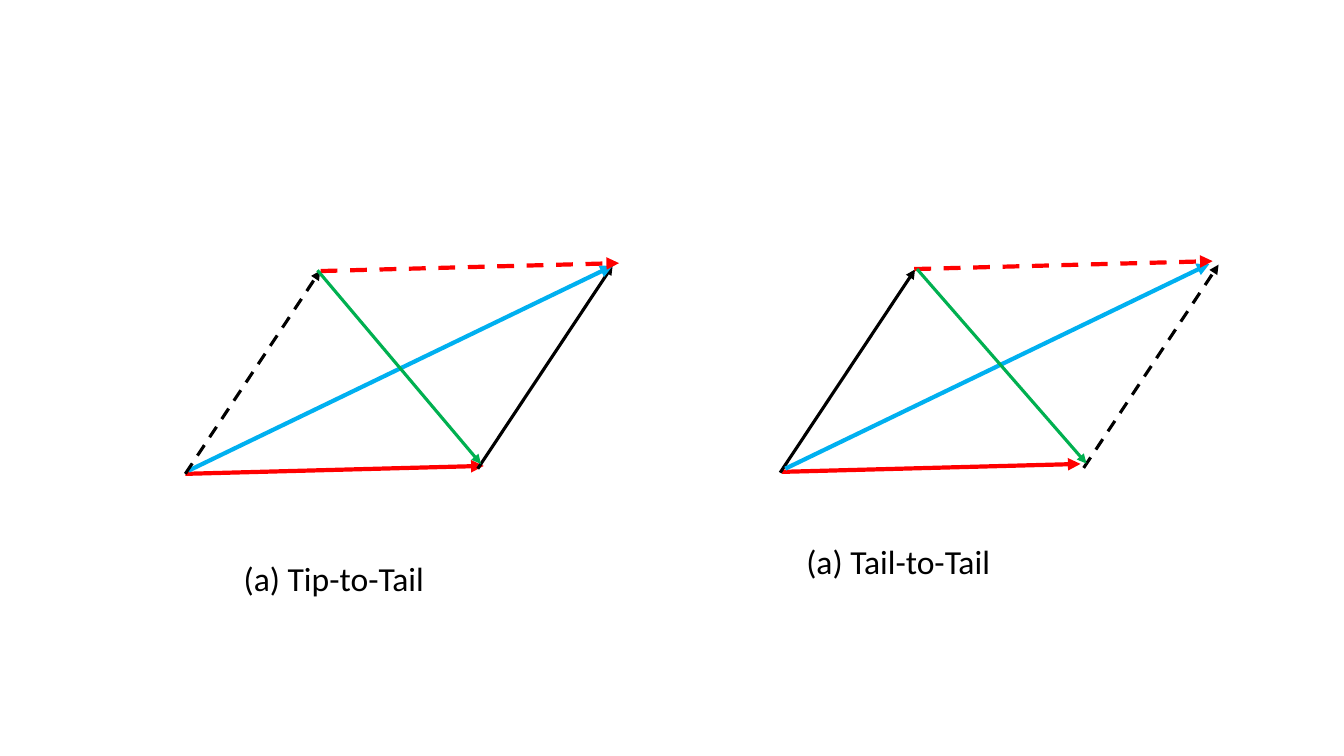
"""Build a slide comparing tip-to-tail and tail-to-tail vector addition."""
import lxml.etree
import pptx
import pptx.dml.color
import pptx.enum.dml
import pptx.enum.shapes
import pptx.enum.text
import pptx.oxml.ns
import pptx.util

COLORS = {"red": "FF0000", "black": "000000", "blue": "00B0F0", "green": "00B050"}
WIDTHS = {"red": 3, "black": 2.25, "blue": 3, "green": 2.25}

FIRST = (7.52, -0.2)
SECOND = (3.4, -5.12)
TOTAL = (10.69, -5.16)

ARROWS = [
    ("red", (4.67, 11.94), FIRST, False),
    ("black", (12.04, 11.81), SECOND, False),
    ("blue", (4.75, 11.86), TOTAL, False),
    ("red", (19.71, 11.89), FIRST, False),
    ("black", (19.66, 11.91), SECOND, False),
    ("blue", (19.79, 11.81), TOTAL, False),
    ("red", (23.04, 6.78), FIRST, True),
    ("black", (27.31, 11.79), SECOND, True),
    ("black", (4.67, 11.94), SECOND, True),
    ("red", (8.08, 6.83), FIRST, True),
    ("green", (8, 6.81), (4.12, 4.88), False),
    ("green", (23.11, 6.78), (4.27, 4.9), False),
]
CAPTIONS = [
    ("(a) Tip-to-Tail", (5.89, 13.94, 5.11, 1.27)),
    ("(a) Tail-to-Tail", (20.07, 13.51, 5.18, 1.27)),
]
CAPTION_FONT = {"name": "Calibri", "size": pptx.util.Pt(24)}


def rgb(color):
    return pptx.dml.color.RGBColor.from_string(COLORS[color])


def add_arrow(slide, color, start, vector, dashed):
    end = [origin + step for origin, step in zip(start, vector)]
    points = [pptx.util.Cm(value) for value in (*start, *end)]
    arrow = slide.shapes.add_connector(pptx.enum.shapes.MSO_CONNECTOR.STRAIGHT, *points)
    arrow.line.color.rgb = rgb(color)
    arrow.line.width = pptx.util.Pt(WIDTHS[color])
    if dashed:
        arrow.line.dash_style = pptx.enum.dml.MSO_LINE.DASH
    outline = arrow.line._get_or_add_ln()
    lxml.etree.SubElement(outline, pptx.oxml.ns.qn("a:tailEnd"), type="triangle")
    lxml.etree.SubElement(arrow._element.spPr, pptx.oxml.ns.qn("a:effectLst"))


def add_caption(slide, text, place):
    box = slide.shapes.add_textbox(*map(pptx.util.Cm, place))
    frame = box.text_frame
    frame.word_wrap = False
    frame.auto_size = pptx.enum.text.MSO_AUTO_SIZE.SHAPE_TO_FIT_TEXT
    span = frame.paragraphs[0].add_run()
    span.text = text
    for name, value in CAPTION_FONT.items():
        setattr(span.font, name, value)
    span.font.color.rgb = rgb("black")


def main():
    deck = pptx.Presentation()
    deck.slide_width, deck.slide_height = pptx.util.Cm(33.87), pptx.util.Cm(19.05)
    slide = deck.slides.add_slide(deck.slide_layouts[6])
    for arrow in ARROWS:
        add_arrow(slide, *arrow)
    for caption in CAPTIONS:
        add_caption(slide, *caption)
    deck.save("out.pptx")


if __name__ == "__main__":
    main()
